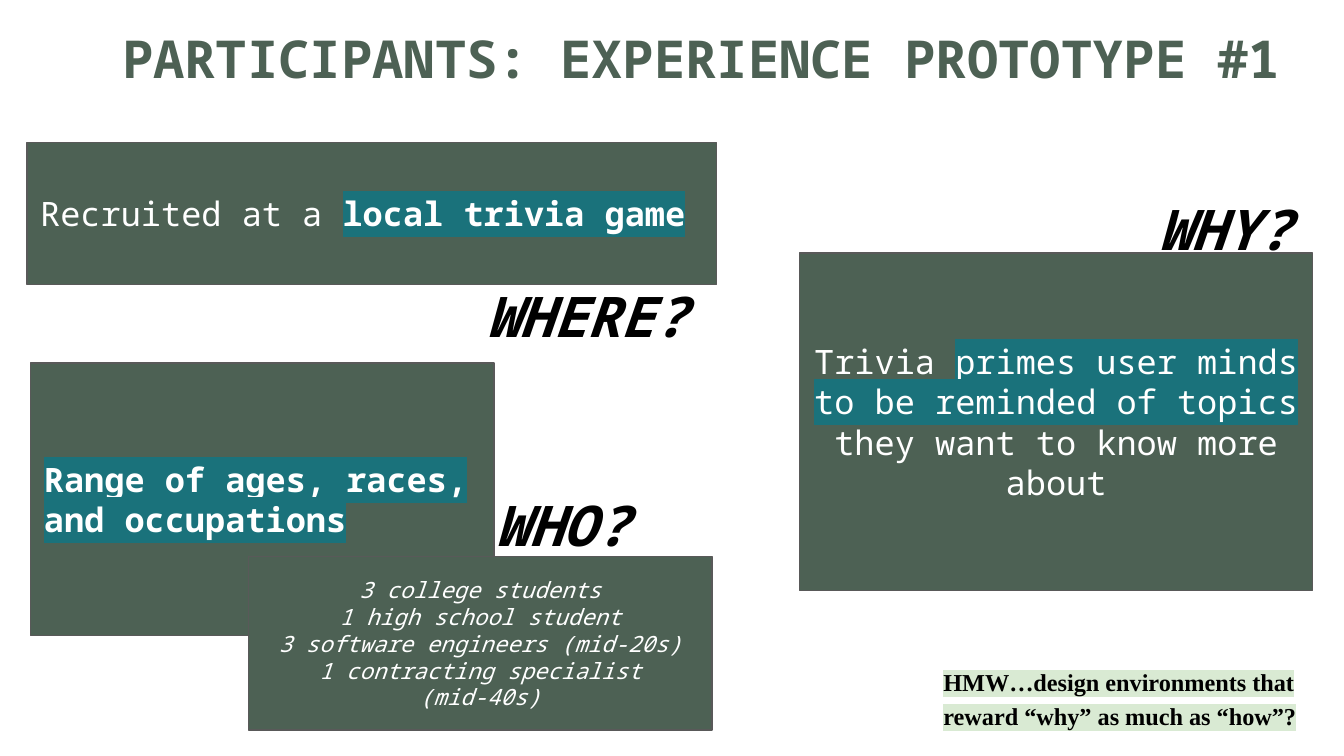
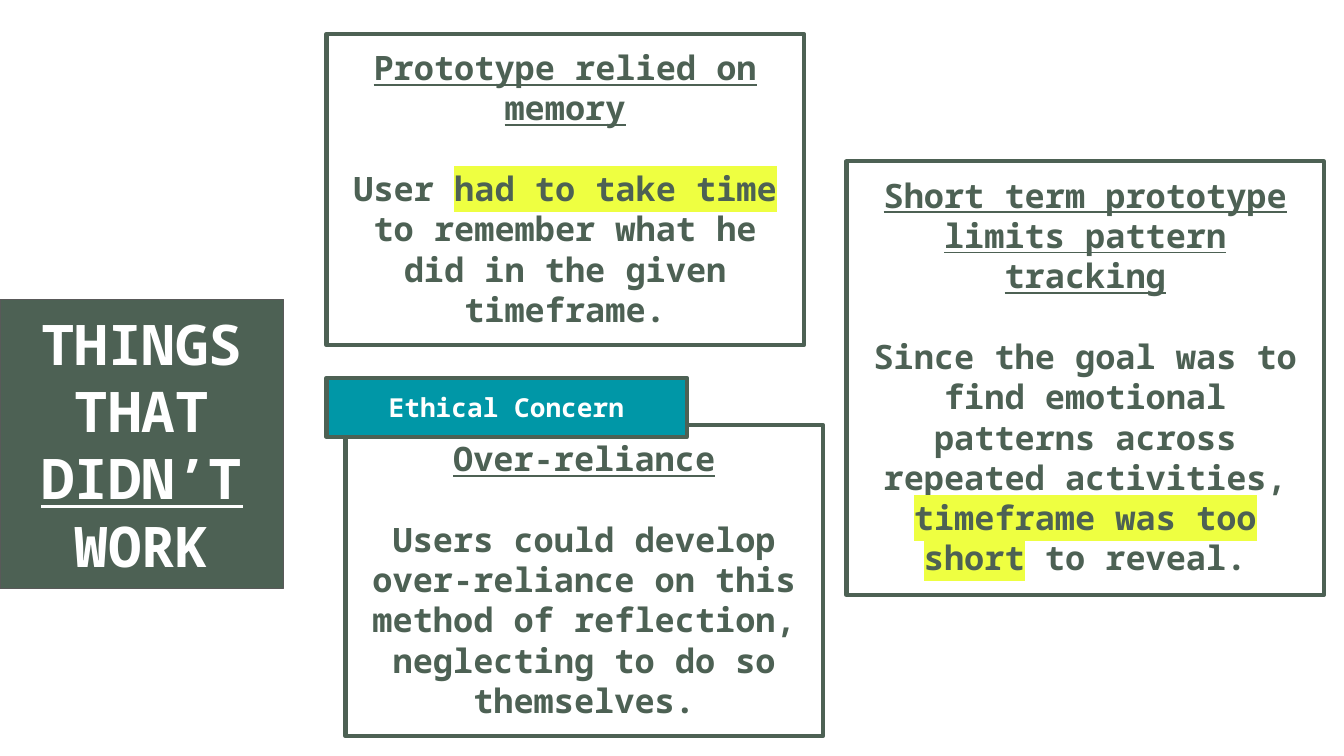
from lxml import etree
from pptx import Presentation
from pptx.dml.color import RGBColor
from pptx.enum import shapes, text
from pptx.oxml.ns import qn
from pptx.util import Cm, Pt

MONO, SERIF = "Noto Sans Mono", "Times New Roman"
GREEN, GRAY, WHITE, BLACK = "4D6154", "595959", "FFFFFF", "000000"
TEAL, CYAN, LIME, MINT = "1A727B", "0097A7", "EEFF41", "D9EAD3"
LEFT, MID = text.PP_ALIGN.LEFT, text.PP_ALIGN.CENTER
GAP = 21.6

# A paragraph is a list of runs: (words, {bold, underline, mark}).
# Places are left, top, width, height in cm.
TITLE_1 = [[("PARTICIPANTS: EXPERIENCE PROTOTYPE #1", {})]]
TITLE_2 = [[("THINGS THAT ", {}), ("DIDN’T", {"underline": True}), (" WORK", {})]]

PANELS = [
    ((0.51, 2.69, 13.03, 2.69), LEFT, {"size": 18},
     [[("Recruited at a ", {}),
       ("local trivia game", {"bold": True, "mark": TEAL})]]),
    ((15.11, 4.78, 9.7, 6.38), MID, {"size": 18},
     [[("Trivia ", {}),
       ("primes user minds to be reminded of topics", {"mark": TEAL}),
       (" they want to know more about", {})]]),
    ((0.58, 6.86, 8.76, 5.16), LEFT, {"size": 18, "bold": True},
     [[("Range of ages, races, and occupations", {"mark": TEAL})]]),
    ((4.7, 10.52, 8.76, 3.28), MID, {"size": 12, "italic": True},
     [[(line, {})] for line in (
         "3 college students",
         "1 high school student",
         "3 software engineers (mid-20s)",
         "1 contracting specialist (mid-40s)")]),
]

LABELS = [
    ("WHO?", (9.12, 9.02, 3.56, 1.8)),
    ("WHERE?", (8.94, 5.08, 4.7, 1.8)),
    ("WHY?", (21.64, 3.43, 3.2, 1.8)),
]

HMW = [[("HMW…design environments that reward “why” as much as “how”?",
         {"mark": MINT})]]

CARDS = [
    ((6.17, 0.64, 9.02, 5.89), "Prototype relied on memory",
     [("User ", {}), ("had to take time", {"mark": LIME}),
      (" to remember what he did in the given timeframe.", {})]),
    ((16, 3.05, 9.02, 8.2), "Short term prototype limits pattern tracking",
     [("Since the goal was to find emotional patterns across repeated "
       "activities, ", {}),
      ("timeframe was too short", {"mark": LIME}), (" to reveal.", {})]),
    ((6.53, 8.03, 9.02, 5.89), "Over-reliance",
     [("Users could develop over-reliance on this method of reflection, "
       "neglecting to do so themselves.", {})]),
]


def color(code):
    return RGBColor.from_string(code)


def mark(run, code):
    """Highlight a run."""
    tag = etree.SubElement(run.font._element, qn("a:highlight"))
    etree.SubElement(tag, qn("a:srgbClr")).set("val", code)


def write(shape, paras, size, ink, align=MID, bold=False, italic=False,
          face=MONO, gap=0, lead=None, top=False):
    frame = shape.text_frame
    frame.word_wrap = True
    frame.auto_size = text.MSO_AUTO_SIZE.NONE
    frame.vertical_anchor = text.MSO_ANCHOR.TOP if top else text.MSO_ANCHOR.MIDDLE
    frame.margin_left = frame.margin_right = Cm(0.25)
    frame.margin_top = frame.margin_bottom = Cm(0.25)
    for i, runs in enumerate(paras):
        para = frame.add_paragraph() if i else frame.paragraphs[0]
        para.alignment = align
        if i and gap:
            para.space_before = Pt(gap)
        if lead:
            para.line_spacing = lead
        font = para.font
        font.name, font.size = face, Pt(size)
        font.bold, font.italic = bold, italic
        font.color.rgb = color(ink)
        for words, style in runs:
            run = para.add_run()
            run.text = words
            if "bold" in style:
                run.font.bold = style["bold"]
            if "underline" in style:
                run.font.underline = style["underline"]
            if "mark" in style:
                mark(run, style["mark"])


def paint(shape, fill, edge, width):
    shape.fill.solid()
    shape.fill.fore_color.rgb = color(fill)
    shape.line.color.rgb = color(edge)
    shape.line.width = Pt(width)


def add_box(slide, place, fill, edge, width):
    box = slide.shapes.add_shape(shapes.MSO_SHAPE.RECTANGLE, *map(Cm, place))
    box.shadow.inherit = False
    paint(box, fill, edge, width)
    return box


def add_label(slide, place, paras, size, **style):
    box = slide.shapes.add_textbox(*map(Cm, place))
    write(box, paras, size, BLACK, LEFT, bold=True, top=True, **style)


def add_slide(deck, paras, place, size, ink, fill, edge):
    slide = deck.slides.add_slide(deck.slide_layouts[5])
    title = slide.shapes.title
    title.left, title.top, title.width, title.height = map(Cm, place)
    paint(title, fill, edge, 0.75)
    write(title, paras, size, ink, bold=True)
    return slide


def people(deck):
    slide = add_slide(deck, TITLE_1, (1.7, 0.23, 23.11, 1.7), 28,
                      GREEN, WHITE, WHITE)
    for place, align, style, paras in PANELS:
        box = add_box(slide, place, GREEN, GRAY, 0.75)
        write(box, paras, ink=WHITE, align=align, **style)
    for words, place in LABELS:
        add_label(slide, place, [[(words, {})]], 30, italic=True)
    add_label(slide, (17.58, 12.29, 8.33, 1.7), HMW, 13, face=SERIF, lead=1.15)


def faults(deck):
    slide = add_slide(deck, TITLE_2, (0, 5.66, 5.36, 5.46), 30,
                      WHITE, GREEN, GRAY)
    for place, head, body in CARDS:
        box = add_box(slide, place, WHITE, GREEN, 2.25)
        write(box, [[(head, {"underline": True})], body], 18, GREEN,
              bold=True, gap=GAP, top=True)
    tag = add_box(slide, (6.17, 7.14, 6.81, 1.12), CYAN, GREEN, 2.25)
    write(tag, [[("Ethical Concern", {})]], 14, WHITE, bold=True, top=True)


def main():
    deck = Presentation()
    deck.slide_width, deck.slide_height = Cm(25.4), Cm(14.29)
    people(deck)
    faults(deck)
    deck.save("out.pptx")


if __name__ == "__main__":
    main()
